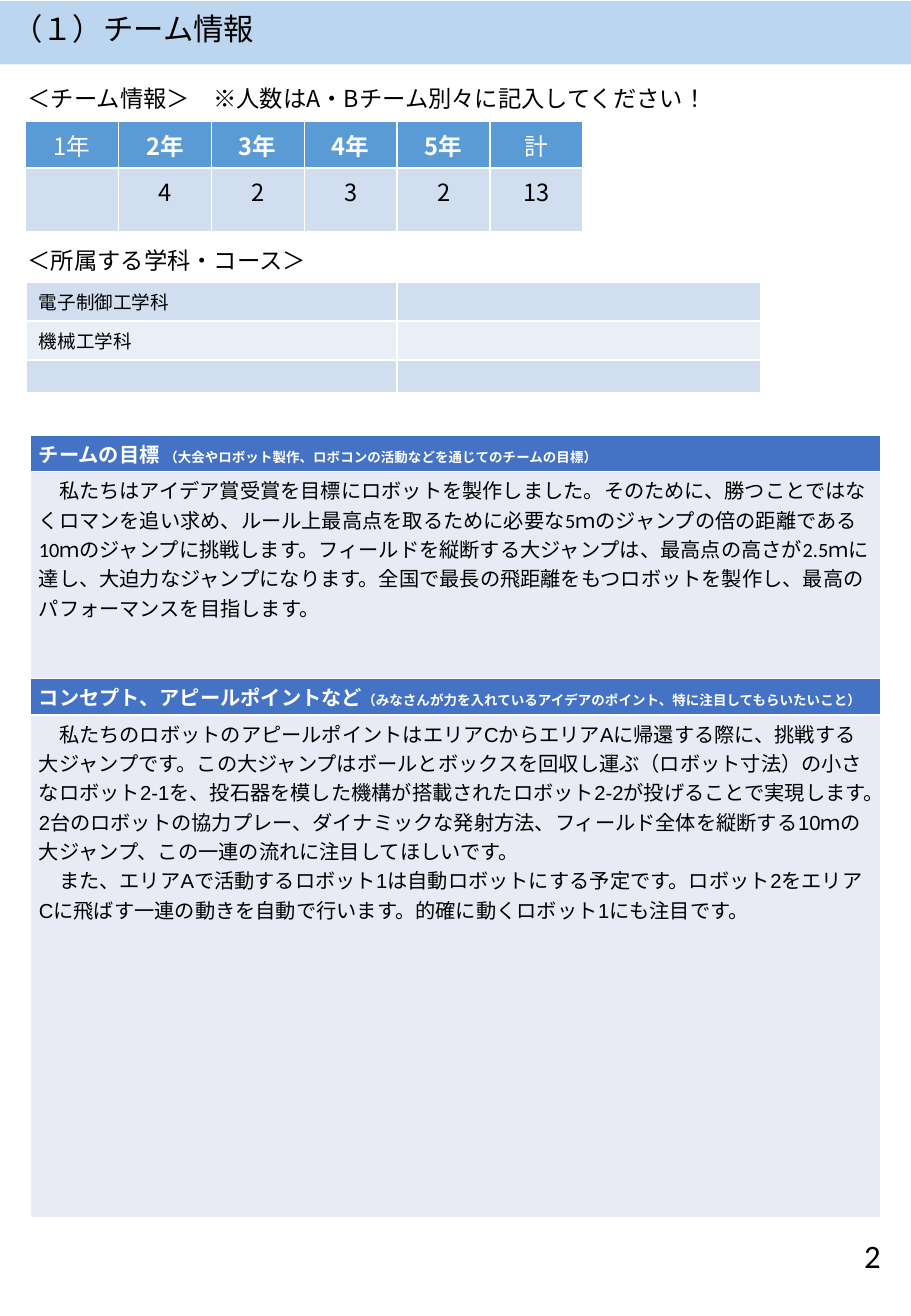
from lxml import etree
from pptx import Presentation
from pptx import util as u
from pptx.dml.color import RGBColor
from pptx.enum import lang, shapes, text
from pptx.oxml import ns

COLOURS = {
    "band": "BBD6EE", "header": "5B9BD5", "row": "D0DEEF", "alternate": "E9EFF7",
    "heading": "4472C4", "body": "E8EBF5", "white": "FFFFFF", "black": "000000",
}
JAPANESE = "Noto Sans CJK JP"
YEARS = ["1年", "2年", "3年", "4年", "5年", "計"]
COUNTS = ["", "4", "2", "3", "2", "13"]
COURSES = ["電子制御工学科", "機械工学科", ""]
GOAL_HEADING = ("チームの目標 ", "（大会やロボット製作、ロボコンの活動などを通じてのチームの目標）")
GOAL = ["　私たちはアイデア賞受賞を目標にロボットを製作しました。そのために、勝つことではなくロマンを追い求め、ルール上最高点を取るために必要な5ｍのジャンプの倍の距離である10ｍのジャンプに挑戦します。フィールドを縦断する大ジャンプは、最高点の高さが2.5ｍに達し、大迫力なジャンプになります。全国で最長の飛距離をもつロボットを製作し、最高のパフォーマンスを目指します。"]
CONCEPT_HEADING = ("コンセプト、アピールポイントなど", "（みなさんが力を入れているアイデアのポイント、特に注目してもらいたいこと）")
CONCEPT = [
    "　私たちのロボットのアピールポイントはエリアCからエリアAに帰還する際に、挑戦する大ジャンプです。この大ジャンプはボールとボックスを回収し運ぶ（ロボット寸法）の小さなロボット2-1を、投石器を模した機構が搭載されたロボット2-2が投げることで実現します。2台のロボットの協力プレー、ダイナミックな発射方法、フィールド全体を縦断する10ｍの大ジャンプ、この一連の流れに注目してほしいです。",
    "　また、エリアAで活動するロボット1は自動ロボットにする予定です。ロボット2をエリアCに飛ばす一連の動きを自動で行います。的確に動くロボット1にも注目です。",
]


def colour(name):
    return RGBColor.from_string(COLOURS[name])


def style(font, size, name=JAPANESE, ink="black", bold=False):
    font.size = u.Pt(size)
    font.name = name
    font.bold = bold
    font.color.rgb = colour(ink)


def add_span(para, words):
    span = para.add_run()
    span.text = words
    span.font.language_id = lang.MSO_LANGUAGE_ID.JAPANESE
    return span


def set_east_asian(span):
    properties = span._r.get_or_add_rPr()
    etree.SubElement(properties, ns.qn("a:ea"), typeface=JAPANESE)


def write(para, words, size, name=JAPANESE, ink="black", bold=False, align=text.PP_ALIGN.LEFT):
    para.alignment = align
    style(para.font, size, name, ink, bold)
    if words:
        set_east_asian(add_span(para, words))
    else:
        etree.SubElement(para._p, ns.qn("a:endParaRPr"), sz=str(size * 100))


def write_heading(para, parts):
    for words, size in zip(parts, (12, 8)):
        span = add_span(para, words)
        style(span.font, size, "Arial", "white", True)
        set_east_asian(span)


def set_frame(frame):
    frame.word_wrap = True
    frame.auto_size = text.MSO_AUTO_SIZE.NONE
    frame.vertical_anchor = text.MSO_ANCHOR.MIDDLE


def add_label(slide, area, words, size, **look):
    box = slide.shapes.add_textbox(*map(u.Inches, area))
    set_frame(box.text_frame)
    write(box.text_frame.paragraphs[0], words, size, **look)
    return box.text_frame.paragraphs[0]


def add_grid(slide, left, top, widths, heights, header=False):
    area = map(u.Inches, (left, top, sum(widths), sum(heights)))
    grid = slide.shapes.add_table(len(heights), len(widths), *area).table
    grid.first_row = header
    grid.horz_banding = False
    for column, width in zip(grid.columns, widths):
        column.width = u.Inches(width)
    for row, height in zip(grid.rows, heights):
        row.height = u.Inches(height)
    return grid


def fill_cell(cell, fill):
    cell.fill.solid()
    cell.fill.fore_color.rgb = colour(fill)
    return cell.text_frame.paragraphs[0]


def add_title(slide):
    band = slide.shapes.add_shape(
        shapes.MSO_SHAPE.RECTANGLE, 0, u.Inches(0.01), u.Inches(7.5), u.Inches(0.52))
    band.shadow.inherit = False
    band.fill.solid()
    band.fill.fore_color.rgb = colour("band")
    band.line.fill.background()
    title = slide.shapes.title
    title.left, title.top, title.width, title.height = map(u.Inches, (0, 0.07, 2.57, 0.36))
    title.element.getparent().append(title.element)
    set_frame(title.text_frame)
    para = title.text_frame.paragraphs[0]
    para.line_spacing = 0.9
    write(para, "（１）チーム情報", 18)


def add_members(slide):
    grid = add_grid(slide, 0.21, 1, [4.59 / 6] * 6, [0.34, 0.52], header=True)
    for column, (year, count) in enumerate(zip(YEARS, COUNTS)):
        write(fill_cell(grid.cell(0, column), "header"), year, 14, ink="white",
              bold=year not in ("1年", "計"), align=text.PP_ALIGN.CENTER)
        write(fill_cell(grid.cell(1, column), "row"), count, 14, align=text.PP_ALIGN.CENTER)


def add_courses(slide):
    grid = add_grid(slide, 0.22, 2.32, [3.05, 2.99], [0.27] * 3)
    for row, course in enumerate(COURSES):
        for column, words in enumerate((course, "")):
            fill = "alternate" if row % 2 else "row"
            write(fill_cell(grid.cell(row, column), fill), words, 11, "Arial")


def add_statements(slide):
    grid = add_grid(slide, 0.25, 3.58, [7], [0.28, 1.7, 0.28, 4.14])
    for cell in grid.iter_cells():
        cell.margin_left = cell.margin_right = u.Inches(0.07)
        cell.margin_top = cell.margin_bottom = u.Inches(0.03)
    sections = [(GOAL_HEADING, GOAL, "Calibri"), (CONCEPT_HEADING, CONCEPT, "Arial")]
    for index, (heading, body, name) in enumerate(sections):
        write_heading(fill_cell(grid.cell(2 * index, 0), "heading"), heading)
        cell = grid.cell(2 * index + 1, 0)
        para = fill_cell(cell, "body")
        for number, words in enumerate(body):
            para = cell.text_frame.add_paragraph() if number else para
            write(para, words, 12, name)


def main():
    """Build the team information page."""
    deck = Presentation()
    deck.slide_width, deck.slide_height = u.Inches(7.5), u.Inches(10.83)
    page = deck.slides.add_slide(deck.slide_layouts.get_by_name("Title Only"))
    add_title(page)
    labels = [(0.64, "＜チーム情報＞　※人数はA・Bチーム別々に記入してください！"),
              (1.98, "＜所属する学科・コース＞")]
    for top, words in labels:
        add_label(page, (0.13, top, 6.18, 0.36), words, 13.8).line_spacing = 0.9
    add_members(page)
    add_courses(page)
    add_statements(page)
    add_label(page, (5.66, 10.04, 1.69, 0.58), "2", 19.4, name="Calibri",
              align=text.PP_ALIGN.RIGHT)
    deck.save("out.pptx")


if __name__ == "__main__":
    main()
